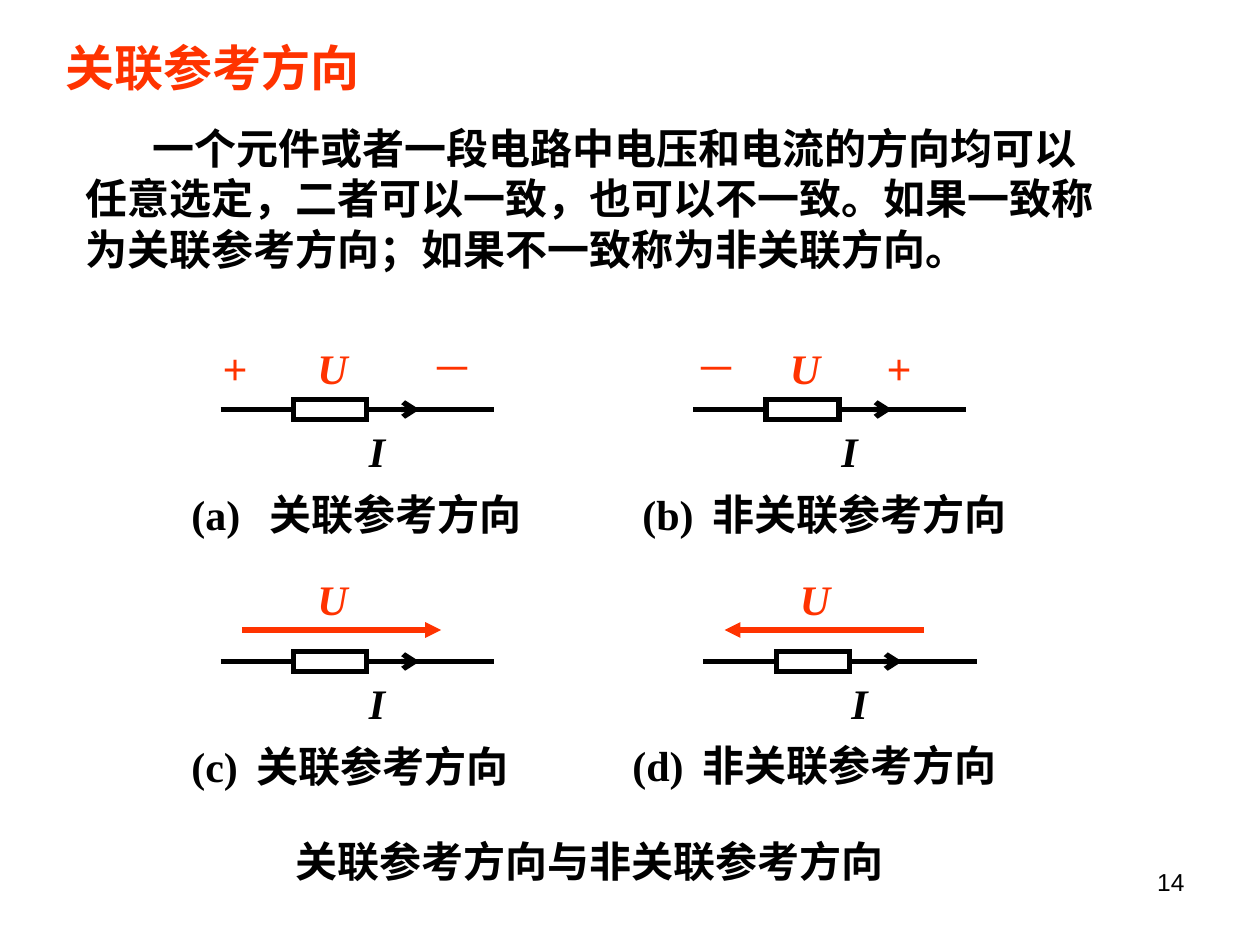
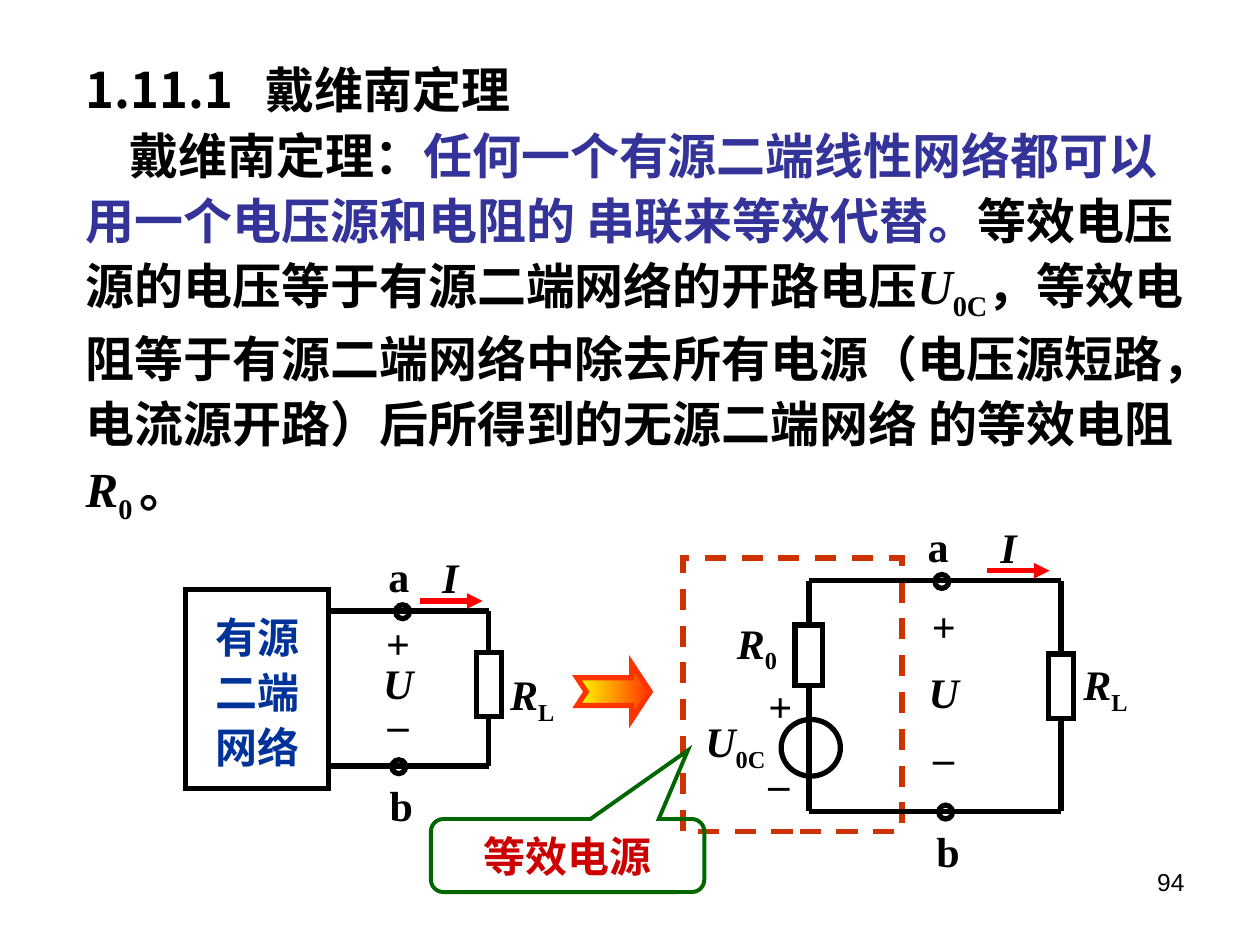
from lxml import etree
from pptx import Presentation
from pptx.dml.color import RGBColor
from pptx.enum.dml import MSO_LINE
from pptx.enum.shapes import MSO_CONNECTOR, MSO_SHAPE
from pptx.enum.text import MSO_ANCHOR, MSO_AUTO_SIZE, PP_ALIGN
from pptx.oxml.ns import qn
from pptx.util import Emu, Pt

PX = 9144  # 100 px to the inch
LEFT, CENTER, RIGHT = PP_ALIGN.LEFT, PP_ALIGN.CENTER, PP_ALIGN.RIGHT
TOP, MIDDLE = MSO_ANCHOR.TOP, MSO_ANCHOR.MIDDLE
RECT, OVAL = MSO_SHAPE.RECTANGLE, MSO_SHAPE.OVAL
NOTCHED_ARROW = MSO_SHAPE.NOTCHED_RIGHT_ARROW
CALLOUT = MSO_SHAPE.ROUNDED_RECTANGULAR_CALLOUT
STRAIGHT, DASH = MSO_CONNECTOR.STRAIGHT, MSO_LINE.DASH

COLORS = {
    "black": "000000", "white": "FFFFFF", "orange": "FF3300", "red": "FF0000",
    "violet": "333399", "blue": "003399", "rust": "CC3300", "yellow": "FFFF00",
    "green": "006600", "crimson": "CC0000",
}
SERIF, SANS, CJK = "Times New Roman", "Arial", "Noto Sans CJK SC"
ITALIC, SUB = {"italic": True}, {"sub": True}


def px(n):
    return Emu(n * PX)


def rgb(name):
    return RGBColor.from_string(COLORS[name])


# Text
def add_run(p, text, size=24, font=SERIF, color="black", bold=True,
            italic=False, sub=False):
    r = p.add_run()
    r.text = text
    f = r.font
    f.size, f.name, f.bold, f.italic = Pt(size), font, bold, italic
    f.color.rgb = rgb(color)
    rpr = r._r.get_or_add_rPr()
    etree.SubElement(rpr, qn("a:ea")).set("typeface", CJK)
    if sub:
        rpr.set("baseline", "-25000")


def write(shape, paragraphs, align=LEFT, anchor=TOP, wrap=True, spacing=None,
          indent=0, tab=None, **fmt):
    """Each paragraph is a string or a list of (text, format) runs."""
    tf = shape.text_frame
    tf.auto_size = MSO_AUTO_SIZE.NONE
    tf.word_wrap, tf.vertical_anchor = wrap, anchor
    for i, runs in enumerate(paragraphs):
        p = tf.paragraphs[0] if i == 0 else tf.add_paragraph()
        ppr = p._p.get_or_add_pPr()
        if tab:  # explicit margins would cancel the tab stop
            tabs = etree.SubElement(ppr, qn("a:tabLst"))
            stop = etree.SubElement(tabs, qn("a:tab"))
            stop.set("pos", str(px(tab)))
            stop.set("algn", "l")
        else:
            ppr.set("marL", "0")
            ppr.set("indent", str(px(indent)))
            etree.SubElement(ppr, qn("a:buNone"))
        p.alignment, p.space_before = align, Pt(0)
        if spacing:
            p.line_spacing = spacing
        for text, extra in [(runs, {})] if isinstance(runs, str) else runs:
            add_run(p, text, **{**fmt, **extra})


def label(s, x, y, w, paragraphs, h=50, **fmt):
    write(s.shapes.add_textbox(px(x), px(y), px(w), px(h)), paragraphs, **fmt)


def symbol(s, x, y, w, text, **fmt):
    label(s, x, y, w, [text], wrap=False, **fmt)


def fill_placeholder(shape, x, y, w, h, paragraphs, **fmt):
    shape.left, shape.top, shape.width, shape.height = map(px, (x, y, w, h))
    write(shape, paragraphs, **fmt)


# Shapes and lines
def box(s, kind, x, y, w, h, line="black", width=3, fill=None):
    sp = s.shapes.add_shape(kind, px(x), px(y), px(w), px(h))
    sp.shadow.inherit = False
    sp.line.color.rgb, sp.line.width = rgb(line), Pt(width)
    ln = sp.line._get_or_add_ln()
    etree.SubElement(ln, qn("a:miter")).set("lim", "800000")
    if fill:
        sp.fill.solid()
        sp.fill.fore_color.rgb = rgb(fill)
    else:
        sp.fill.background()
    return sp


def wire(s, x1, y1, x2, y2, color="black", arrow=None, start=None, end=None):
    """start and end are (shape, side) pairs to join."""
    c = s.shapes.add_connector(STRAIGHT, px(x1), px(y1), px(x2), px(y2))
    c.line.color.rgb, c.line.width = rgb(color), Pt(3)
    if arrow:
        ln = c.line._get_or_add_ln()
        etree.SubElement(ln, qn("a:tailEnd")).set("type", arrow)
    etree.SubElement(c._element.spPr, qn("a:effectLst"))
    if start:
        c.begin_connect(*start)
    if end:
        c.end_connect(*end)


def terminal(s, cx, cy):
    box(s, OVAL, cx - 5, cy - 5, 11, 11)


# Slide frame
def new_slide(prs, number, title, title_at, body, body_at, title_fmt, body_fmt):
    s = prs.slides.add_slide(prs.slide_layouts[1])
    label(s, 717, 683, 233, [number], h=52, align=RIGHT, size=14, font=SANS,
          bold=False)
    fill_placeholder(s.shapes.title, *title_at, [title], size=28, **title_fmt)
    fill_placeholder(s.placeholders[1], *body_at, [body], **body_fmt)
    return s


# Circuit parts
def element(s, x, y):
    """Horizontal resistor on a wire, with its current."""
    wire(s, x, y, x + 217, y)
    resistor = box(s, RECT, x + 58, y - 8, 58, 16, fill="white")
    wire(s, x + 116, y, x + 158, y, arrow="arrow", start=(resistor, 3))
    label(s, x + 108, y + 8, 67, ["I"], italic=True)


def voltage(s, x, y):
    label(s, x + 67, y, 67, ["U"], italic=True, color="orange")


def load_branch(s, left, right, top, bottom, a, b, arrow_x, i_x, load_y, rl,
                stack, spacing):
    """Wires, terminals a and b, voltage U, current I and the load RL."""
    wire(s, left, top, right, top)
    wire(s, left, bottom, right, bottom)
    load = box(s, RECT, right - 10, load_y, 20, 51)
    wire(s, right, top, right, load_y, end=(load, 0))
    wire(s, right, load_y + 51, right, bottom, start=(load, 2))
    symbol(s, *rl, 57, [("R", ITALIC), ("L", SUB)])
    terminal(s, a, top)
    symbol(s, a - 21, top - 53, 37, "a", align=CENTER)
    terminal(s, b, bottom)
    symbol(s, b - 17, bottom + 6, 39, "b", align=CENTER)
    x, y, h = stack
    label(s, x, y, 44, ["+", [("U", ITALIC)], "–"], h=h, wrap=False,
          align=CENTER, spacing=spacing)
    wire(s, arrow_x, top - 8, arrow_x + 50, top - 8, "red", "triangle")
    symbol(s, i_x, top - 52, 33, "I", align=CENTER, italic=True)


def reference_directions(prs):
    s = new_slide(
        prs, "14", "关联参考方向", (42, 25, 325, 58),
        "一个元件或者一段电路中电压和电流的方向均可以任意选定，二者可以一致，"
        "也可以不一致。如果一致称为关联参考方向；如果不一致称为非关联方向。",
        (58, 92, 825, 130),
        dict(font=SANS, color="orange"), dict(font=SANS, indent=53))

    # Polarity shown by signs, at offsets from the wire's start
    for x, signs in ((175, (("+", -8), ("－", 158))),
                     (550, (("－", -8), ("+", 144)))):
        element(s, x, 325)
        voltage(s, x, 267)
        for sign, offset in signs:
            label(s, x + offset, 267, 60, [sign], font=SANS, bold=False,
                  color="orange")

    # Polarity shown by arrows
    for x, start, end in ((175, 17, 175), (558, 175, 17)):
        element(s, x, 525)
        voltage(s, x, 450)
        wire(s, x + start, 500, x + end, 500, "orange", "triangle")

    # Captions
    for x, y, mark, text, tab in (
            (142, 383, "(a)", "关联参考方向", 62),
            (500, 383, "(b)", "非关联参考方向", 56),
            (142, 583, "(c)", "关联参考方向", 52),
            (492, 582, "(d)", "非关联参考方向", 56)):
        label(s, x, y, 325, [f"{mark}\t{text}"], tab=tab)
    label(s, 225, 658, 517, ["关联参考方向与非关联参考方向"], font=SANS)


def thevenin(prs):
    body = [
        ("戴维南定理：", {"font": CJK}),
        ("任何一个有源二端线性网络都可以用一个电压源和电阻的 串联来等效代替。",
         {"color": "violet"}),
        ("等效电压源的电压等于有源二端网络的开路电压", {}),
        ("U", ITALIC), ("0C", SUB),
        ("，等效电阻等于有源二端网络中除去所有电源（电压源短路，电流源开路）"
         "后所得到的无源二端网络 的等效电阻", {}),
        ("R", ITALIC), ("0 ", SUB), ("。", {}),
    ]
    s = new_slide(
        prs, "94", "1.11.1\t戴维南定理", (58, 42, 700, 67),
        body, (58, 97, 900, 318),
        dict(font=CJK, tab=143),
        dict(size=28, anchor=MIDDLE, spacing=1.1, indent=35))

    # Equivalent source frame and transition arrow
    frame = box(s, RECT, 542, 443, 174, 217, line="rust")
    frame.line.dash_style = DASH
    arrow = box(s, NOTCHED_ARROW, 458, 527, 58, 44, line="orange")
    arrow.adjustments[0], arrow.adjustments[1] = 0.5, 0.33
    arrow.fill.gradient()
    arrow.fill.gradient_angle = 0
    for stop, color in zip(arrow.fill.gradient_stops, ("yellow", "orange")):
        stop.color.rgb = rgb(color)

    # Active two-terminal network
    network = box(s, RECT, 147, 468, 114, 158)
    write(network, ["有源", "二端", "网络"], align=CENTER, anchor=MIDDLE,
          wrap=False, spacing=1.1, color="blue")
    load_branch(s, left=263, right=388, top=485, bottom=608, a=319, b=316,
                arrow_x=333, i_x=341, load_y=518, rl=(395, 526),
                stack=(294, 493, 106), spacing=0.8)

    # Voltage source in series with a resistor
    load_branch(s, left=642, right=842, top=461, bottom=644, a=747, b=750,
                arrow_x=783, i_x=784, load_y=519, rl=(850, 518),
                stack=(727, 460, 166), spacing=1.3)
    resistor = box(s, RECT, 631, 496, 22, 48)
    wire(s, 642, 461, 642, 496, end=(resistor, 0))
    wire(s, 642, 544, 642, 644, start=(resistor, 2))
    box(s, OVAL, 620, 571, 47, 45)
    label(s, 550, 563, 100, [[("U", ITALIC), ("0C", SUB)]])
    label(s, 575, 485, 78, [[("R", ITALIC), ("0", SUB)]])
    symbol(s, 600, 535, 39, "+")
    symbol(s, 600, 585, 37, "_")

    # Callout
    callout = box(s, CALLOUT, 342, 650, 217, 58, line="green", width=2.25)
    for i, value in enumerate((0.44, -1.44, 0.17)):
        callout.adjustments[i] = value
    write(callout, ["等效电源"], align=CENTER, anchor=MIDDLE, wrap=False,
          color="crimson")


def main():
    prs = Presentation()
    prs.slide_width, prs.slide_height = px(1000), px(750)
    reference_directions(prs)
    thevenin(prs)
    prs.save("out.pptx")


if __name__ == "__main__":
    main()
